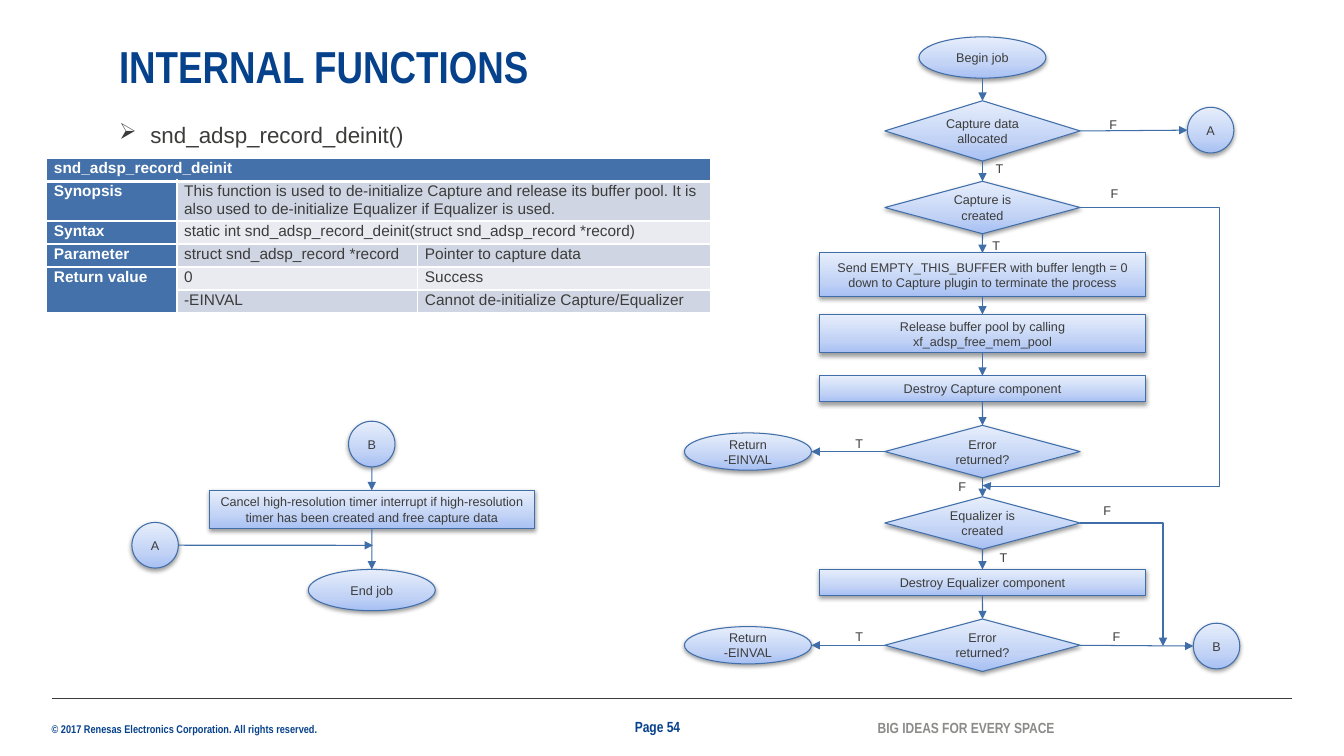
from pptx import Presentation, oxml, util as u
from pptx.dml import color
from pptx.enum import shapes, text
from pptx.oxml import ns

Cm, Pt = u.Cm, u.Pt
COLOURS = {
    "navy": "06418C", "ink": "3C3C3B", "grey": "8B8B89", "white": "FFFFFF",
    "edge": "406EA8", "head": "4471A9", "band": "CFD5E2", "pale": "E9EBF1",
    "low": "A7C0F3", "mid": "C2D3F5", "high": "E7EEFC", "shadow": "000000",
}
TOP, LEFT, BOTTOM, RIGHT = range(4)
AXIS, LEFT_AXIS, RETURN_X = 24.76, 9.37, 18.85
OVAL = shapes.MSO_SHAPE.OVAL
PROCESS = shapes.MSO_SHAPE.RECTANGLE
DECISION = shapes.MSO_SHAPE.FLOWCHART_DECISION
CENTER = text.PP_ALIGN.CENTER
MIDDLE = text.MSO_ANCHOR.MIDDLE
NARROW = {"name": "Arial Narrow", "bold": True}
SMALL = {"name": "Arial", "size": Pt(9)}

NODES = {
    "begin": (OVAL, AXIS, 1.45, 3.2, 1.04, "Begin job"),
    "allocated": (DECISION, AXIS, 3.3, 4.92, 1.52, "Capture data allocated"),
    "capture": (DECISION, AXIS, 5.23, 4.92, 1.32, "Capture is created"),
    "send": (PROCESS, AXIS, 6.92, 8.2, 1.09,
             "Send EMPTY_THIS_BUFFER with buffer length = 0 "
             "down to Capture plugin to terminate the process"),
    "release": (PROCESS, AXIS, 8.41, 8.2, 0.97,
                "Release buffer pool by calling xf_adsp_free_mem_pool"),
    "destroy": (PROCESS, AXIS, 9.8, 8.2, 0.66, "Destroy Capture component"),
    "error": (DECISION, AXIS, 11.38, 4.92, 1.32, "Error returned?"),
    "equalizer": (DECISION, AXIS, 13.18, 4.92, 1.32, "Equalizer is created"),
    "destroy_eq": (PROCESS, AXIS, 14.68, 8.2, 0.66, "Destroy Equalizer component"),
    "error_eq": (DECISION, AXIS, 16.26, 4.92, 1.32, "Error returned?"),
    "return": (OVAL, RETURN_X, 11.38, 3.2, 0.94, "Return\n-EINVAL"),
    "return_eq": (OVAL, RETURN_X, 16.26, 3.2, 0.94, "Return\n-EINVAL"),
    "to_a": (OVAL, 30.51, 3.28, 1.17, 1.15, "A"),
    "to_b": (OVAL, 30.66, 16.28, 1.17, 1.15, "B"),
    "from_a": (OVAL, 3.91, 13.74, 1.17, 1.15, "A"),
    "from_b": (OVAL, LEFT_AXIS, 11.19, 1.17, 1.15, "B"),
    "cancel": (PROCESS, LEFT_AXIS, 12.84, 8.2, 0.97,
               "Cancel high-resolution timer interrupt if high-resolution "
               "timer has been created and free capture data"),
    "end": (OVAL, LEFT_AXIS, 14.87, 3.2, 1.04, "End job"),
}
CHAINS = [
    ["begin", "allocated", "capture", "send", "release", "destroy", "error",
     "equalizer", "destroy_eq", "error_eq"],
    ["from_b", "cancel", "end"],
]
BRANCHES = [
    ("allocated", RIGHT, "to_a", LEFT), ("error", LEFT, "return", RIGHT),
    ("error_eq", LEFT, "return_eq", RIGHT), ("error_eq", RIGHT, "to_b", LEFT),
]
LABELS = {
    "T": [(24.84, 3.94), (24.76, 5.87), (21.31, 10.85), (24.94, 13.74), (21.31, 15.72)],
    "F": [(27.71, 2.82), (27.74, 4.57), (23.9, 11.94), (27.56, 12.55), (27.79, 15.72)],
}
CELLS = [
    (0, 0, 0, 2, "head", "snd_adsp_record_deinit"),
    (1, 0, 1, 0, "head", "Synopsis"),
    (1, 1, 1, 2, "band", "This function is used to de-initialize Capture and release its "
     "buffer pool. It is also used to de-initialize Equalizer if Equalizer is used."),
    (2, 0, 2, 0, "head", "Syntax"),
    (2, 1, 2, 2, "pale", "static int snd_adsp_record_deinit(struct snd_adsp_record *record)"),
    (3, 0, 3, 0, "head", "Parameter"),
    (3, 1, 3, 1, "band", "struct snd_adsp_record *record"),
    (3, 2, 3, 2, "band", "Pointer to capture data"),
    (4, 0, 5, 0, "head", "Return value"),
    (4, 1, 4, 1, "pale", "0"),
    (4, 2, 4, 2, "pale", "Success"),
    (5, 1, 5, 1, "band", "-EINVAL"),
    (5, 2, 5, 2, "band", "Cannot de-initialize Capture/Equalizer"),
]


def rgb(name):
    return color.RGBColor.from_string(COLOURS[name])


def element(markup):
    tag, rest = markup[1:].split(" ", 1)
    return oxml.parse_xml(f"<{tag} {ns.nsdecls('a')} {rest}")


def style(target, values):
    for name, value in values.items():
        setattr(target, name, value)


def write(frame, words, font, ink, layout):
    frame.text = words
    for para in frame.paragraphs:
        style(para, layout)
        for span in para.runs:
            style(span.font, font)
            span.font.color.rgb = rgb(ink)


def add_text(page, place, words, font, ink, frame_format, layout):
    box = page.shapes.add_textbox(*map(Cm, place))
    style(box.text_frame, {"word_wrap": True, **frame_format})
    write(box.text_frame, words, font, ink, layout)
    return box


def add_node(page, kind, x, y, width, height, words):
    node = page.shapes.add_shape(
        kind, Cm(x - width / 2), Cm(y - height / 2), Cm(width), Cm(height))
    stops = "".join(
        f'<a:gs pos="{at}"><a:srgbClr val="{COLOURS[name]}"/></a:gs>'
        for at, name in ((0, "low"), (35000, "mid"), (100000, "high")))
    properties = node._element.spPr
    properties.append(element(
        f'<a:gradFill rotWithShape="1"><a:gsLst>{stops}</a:gsLst>'
        '<a:lin ang="16200000" scaled="0"/></a:gradFill>'))
    node.line.color.rgb = rgb("edge")
    node.line.width = Pt(0.75)
    node.shadow.inherit = False
    properties.find(ns.qn("a:effectLst")).append(element(
        '<a:outerShdw blurRad="40000" dist="20000" dir="5400000" rotWithShape="0">'
        f'<a:srgbClr val="{COLOURS["shadow"]}"><a:alpha val="38000"/></a:srgbClr>'
        '</a:outerShdw>'))
    style(node.text_frame, {"word_wrap": True, "vertical_anchor": MIDDLE})
    write(node.text_frame, words, SMALL, "ink", {"alignment": CENTER})
    return node


def add_line(page, start, end, ink="edge", width=0.75, arrow=True, bend=None, adjust=()):
    kind = shapes.MSO_CONNECTOR.ELBOW if bend else shapes.MSO_CONNECTOR.STRAIGHT
    line = page.shapes.add_connector(kind, *start, *end)
    line.line.color.rgb = rgb(ink)
    line.line.width = Pt(width)
    properties = line._element.spPr
    if arrow:
        line.line._get_or_add_ln().append(element('<a:tailEnd type="triangle"/>'))
    if bend:
        geometry = properties.find(ns.qn("a:prstGeom"))
        geometry.set("prst", bend)
        for number, value in enumerate(adjust, 1):
            geometry.get_or_add_avLst().append(
                element(f'<a:gd name="adj{number}" fmla="val {value}"/>'))
    properties.append(element("<a:effectLst />"))
    return line


def side_point(node, side):
    x, y = node.left + node.width // 2, node.top + node.height // 2
    return {TOP: (x, node.top), LEFT: (node.left, y),
            BOTTOM: (x, node.top + node.height), RIGHT: (node.left + node.width, y)}[side]


def link(page, start, start_side, end, end_side):
    line = add_line(page, side_point(start, start_side), side_point(end, end_side))
    for node, side, join in ((start, start_side, line.begin_connect),
                             (end, end_side, line.end_connect)):
        if node.auto_shape_type != OVAL or side == TOP:
            join(node, side)


def add_function_table(page):
    frame = page.shapes.add_table(6, 3, Cm(1.18), Cm(3.99), Cm(16.72), Cm(3.66))
    table = frame.table
    for column, width in zip(table.columns, (3.28, 6.07, 7.37)):
        column.width = Cm(width)
    for row, height in zip(table.rows, (0.58, 0.76, 0.58, 0.58, 0.58, 0.58)):
        row.height = Cm(height)
    for top, left, bottom, right, fill, words in CELLS:
        cell = table.cell(top, left)
        if (top, left) != (bottom, right):
            cell.merge(table.cell(bottom, right))
        style(cell, {"margin_left": Cm(0.18), "margin_right": Cm(0.18),
                     "margin_top": 0, "margin_bottom": 0})
        head = fill == "head"
        write(cell.text_frame, words, {"name": "Arial", "size": Pt(11), "bold": head},
              "white" if head else "ink", {"line_spacing": 1.07})
        for row in range(top, bottom + 1):
            for column in range(left, right + 1):
                paint_cell(table.cell(row, column), fill, 3 if row == 0 else 1)


def paint_cell(cell, fill, base):
    properties = cell._tc.get_or_add_tcPr()
    for side, width in (("L", 1), ("R", 1), ("T", 1), ("B", base)):
        properties.append(element(
            f'<a:ln{side} w="{Pt(width)}"><a:solidFill>'
            f'<a:srgbClr val="{COLOURS["white"]}"/></a:solidFill></a:ln{side}>'))
    cell.fill.solid()
    cell.fill.fore_color.rgb = rgb(fill)


def add_flow(page):
    nodes = {name: add_node(page, *values) for name, values in NODES.items()}
    for chain in CHAINS:
        for start, end in zip(chain, chain[1:]):
            link(page, nodes[start], BOTTOM, nodes[end], TOP)
    for start, start_side, end, end_side in BRANCHES:
        link(page, nodes[start], start_side, nodes[end], end_side)
    add_line(page, side_point(nodes["from_a"], RIGHT), (Cm(9.4), Cm(13.74)))
    add_line(page, side_point(nodes["equalizer"], RIGHT), (Cm(29.31), Cm(16.28)),
             bend="bentConnector2")
    add_line(page, side_point(nodes["capture"], RIGHT), (Cm(AXIS), Cm(12.23)),
             bend="bentConnector4", adjust=(-142700, 100300))
    for letter, places in LABELS.items():
        for x, y in places:
            add_text(page, (x, y, 0.75, 0.64), letter, SMALL, "ink", {}, {})


def main():
    deck = Presentation()
    deck.slide_width, deck.slide_height = Cm(33.87), Cm(19.05)
    page = deck.slides.add_slide(deck.slide_layouts[6])
    flush = dict.fromkeys(("margin_left", "margin_top", "margin_right", "margin_bottom"), 0)
    middle = {**flush, "vertical_anchor": MIDDLE}

    add_line(page, (Cm(1.3), Cm(17.6)), (Cm(32.56), Cm(17.6)), "ink", 0.5, False)
    add_text(page, (1.3, 18.19, 6.81, 0.33),
             "© 2017 Renesas Electronics Corporation. All rights reserved.",
             {**NARROW, "size": Pt(8)}, "navy", {**flush, "word_wrap": False}, {})
    add_text(page, (22.12, 18.11, 4.57, 0.46), "BIG IDEAS FOR EVERY SPACE",
             {**NARROW, "size": Pt(10.5)}, "grey", middle, {})
    add_text(page, (16, 18.08, 1.85, 0.46), "Page 54",
             {**NARROW, "size": Pt(10.5)}, "navy", middle, {})
    add_text(page, (3, 1.12, 27.53, 1.22), "INTERNAL FUNCTIONS",
             {**NARROW, "size": Pt(32)}, "navy",
             {**flush, "vertical_anchor": text.MSO_ANCHOR.BOTTOM}, {"line_spacing": 0.9})
    topic = add_text(page, (3, 2.92, 16.54, 0.81), "snd_adsp_record_deinit()",
                     {"name": "Arial", "size": Pt(16)}, "ink", flush, {})
    para = topic.text_frame.paragraphs[0]
    indent = para._p.get_or_add_pPr()
    indent.set("marL", str(Cm(0.79)))
    indent.set("indent", str(-Cm(0.79)))
    indent.append(element(f'<a:buClr ><a:srgbClr val="{COLOURS["ink"]}"/></a:buClr>'))
    indent.append(element('<a:buChar char="➢"/>'))
    style(para, {"line_spacing": 1.2, "space_after": Pt(8)})
    add_function_table(page)
    add_flow(page)
    deck.save("out.pptx")


if __name__ == "__main__":
    main()
